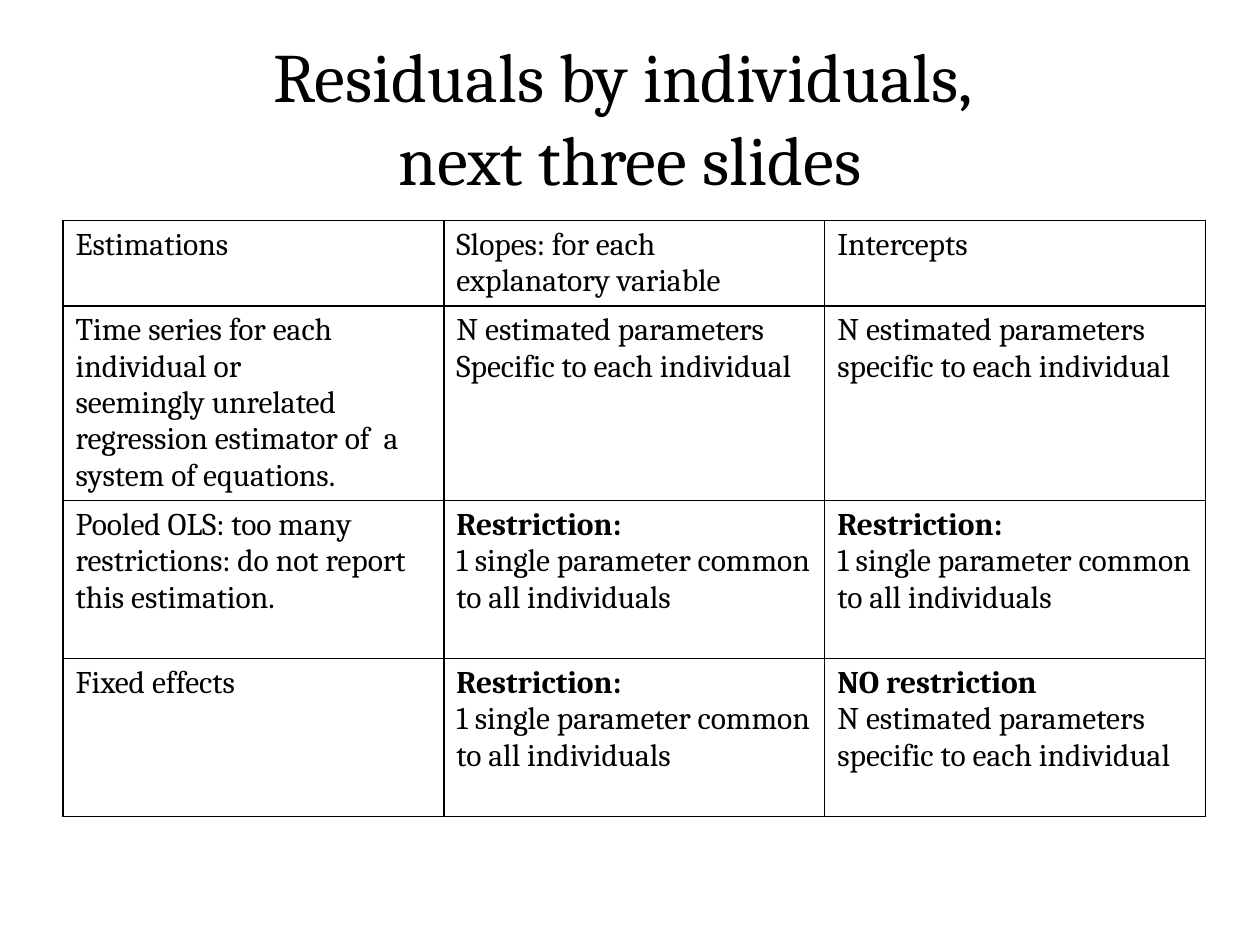
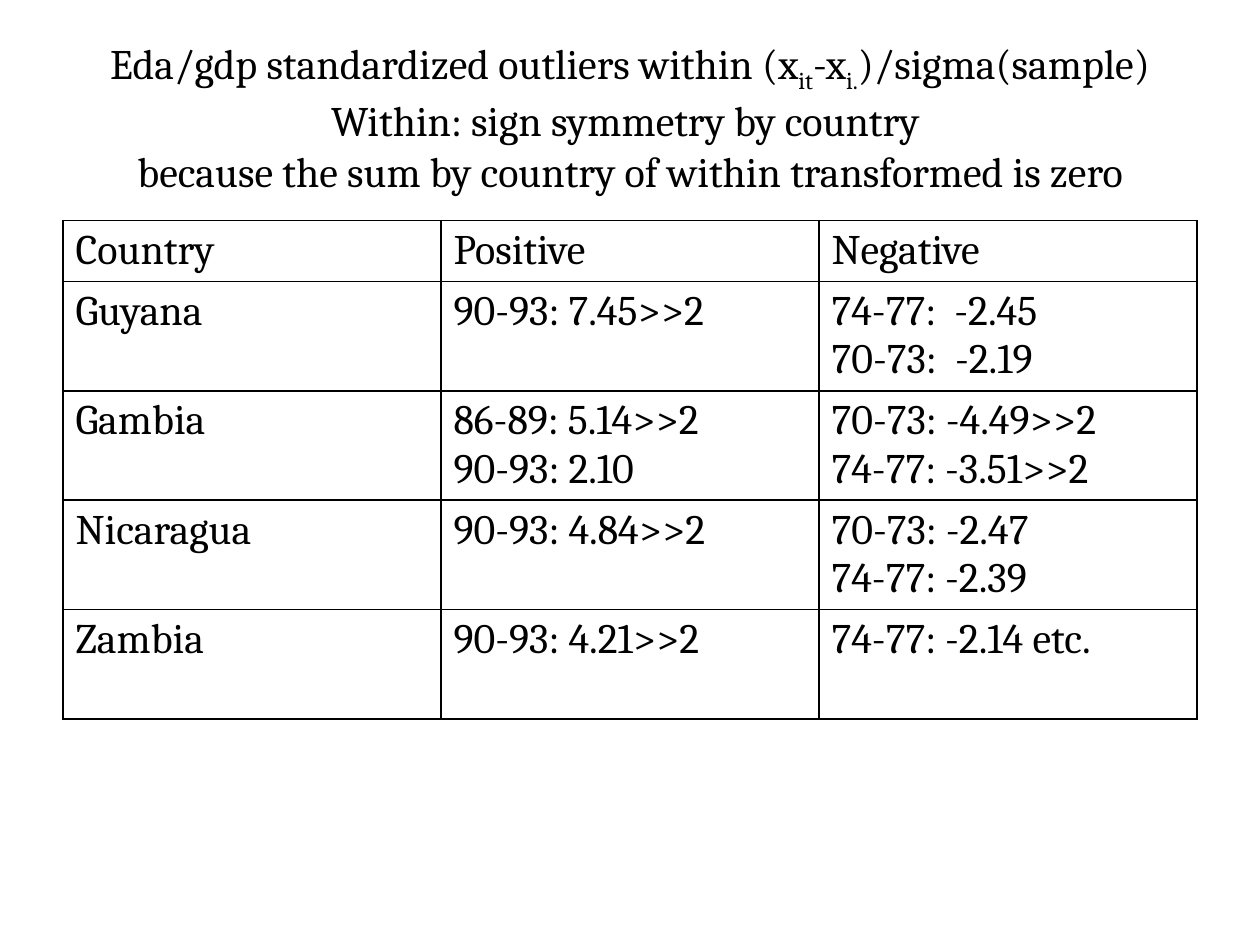
from pptx import Presentation
from pptx.dml.color import RGBColor
from pptx.enum.text import MSO_ANCHOR, MSO_AUTO_SIZE, PP_ALIGN
from pptx.oxml.ns import qn
from pptx.util import Pt
from lxml import etree

BLACK = RGBColor(0, 0, 0)
WHITE = RGBColor(255, 255, 255)
FACE = "Cambria"
MIDDLE, TOP = MSO_ANCHOR.MIDDLE, MSO_ANCHOR.TOP
CENTER = PP_ALIGN.CENTER
NO_FIT = MSO_AUTO_SIZE.NONE

LEFT = 36
TITLE_BOX = {"left": Pt(LEFT), "top": Pt(21.6), "width": Pt(648), "height": Pt(90)}
TABLE_TOP = 126
TITLE_ONLY = 5

# Cell wording: a line break starts a paragraph, a leading * makes it bold
COMMON = "*Restriction:\n1 single parameter common to all individuals"
METHODS = [
    ["Estimations", "Slopes: for each explanatory variable", "Intercepts"],
    ["Time series for each individual or\n"
     "seemingly unrelated regression estimator of  a system of equations.",
     "N estimated parameters Specific to each individual",
     "N estimated parameters specific to each individual"],
    ["Pooled OLS: too many restrictions: do not report this estimation.",
     COMMON, COMMON],
    ["Fixed effects", COMMON,
     "*NO restriction\nN estimated parameters specific to each individual"],
]
OUTLIERS = [
    ["Country", "Positive", "Negative"],
    ["Guyana", "90-93: 7.45>>2", "74-77:  -2.45\n70-73:  -2.19"],
    ["Gambia", "86-89: 5.14>>2\n90-93: 2.10", "70-73: -4.49>>2\n74-77: -3.51>>2"],
    ["Nicaragua", "90-93: 4.84>>2", "70-73: -2.47\n74-77: -2.39"],
    ["Zambia", "90-93: 4.21>>2", "74-77: -2.14 etc."],
]


def assign(item, values):
    for name, value in values.items():
        setattr(item, name, value)


def add_run(para, text, size, bold=False):
    run = para.add_run()
    run.text = text
    assign(run.font, {"name": FACE, "size": Pt(size), "bold": bold})
    run.font.color.rgb = BLACK
    return run


def add_title(slide, text, size):
    """Fill the title; parts between underscores are subscripts."""
    title = slide.shapes.title
    assign(title, TITLE_BOX)
    frame = title.text_frame
    assign(frame, {"vertical_anchor": MIDDLE, "word_wrap": True, "auto_size": NO_FIT})
    para = frame.paragraphs[0]
    para.alignment = CENTER
    for row, line in enumerate(text.split("\n")):
        if row:
            para.add_line_break()
        for part, words in enumerate(line.split("_")):
            run = add_run(para, words, size)
            if part % 2:
                run.font._element.set("baseline", "-25000")
    # Line breaks take the size of the text around them
    for mark in para._p.findall(qn("a:br")):
        etree.SubElement(mark, qn("a:rPr")).set("sz", str(int(size * 100)))


def add_border(cell):
    props = cell._tc.get_or_add_tcPr()
    for spot, side in enumerate(("lnL", "lnR", "lnT", "lnB")):
        line = etree.Element(qn("a:" + side), w=str(Pt(1)))
        fill = etree.SubElement(line, qn("a:solidFill"))
        etree.SubElement(fill, qn("a:srgbClr"), val=str(BLACK))
        props.insert(spot, line)


def fill_cell(cell, text, size):
    cell.vertical_anchor = TOP
    cell.fill.solid()
    cell.fill.fore_color.rgb = WHITE
    add_border(cell)
    frame = cell.text_frame
    for row, line in enumerate(text.split("\n")):
        para = frame.add_paragraph() if row else frame.paragraphs[0]
        add_run(para, line.lstrip("*"), size, line.startswith("*"))


def add_grid(slide, data, width, heights, size):
    count = len(data[0])
    table = slide.shapes.add_table(
        len(data), count, Pt(LEFT), Pt(TABLE_TOP), Pt(width), Pt(sum(heights))).table
    assign(table, {"first_row": False, "horz_banding": False})
    for col in table.columns:
        col.width = Pt(width / count)
    for row, height, texts in zip(table.rows, heights, data):
        row.height = Pt(height)
        for cell, text in zip(row.cells, texts):
            fill_cell(cell, text, size)


def main():
    deck = Presentation()
    assign(deck, {"slide_width": Pt(720), "slide_height": Pt(540)})
    layout = deck.slide_layouts[TITLE_ONLY]

    # Restrictions of each estimation
    slide = deck.slides.add_slide(layout)
    add_title(slide, "Residuals by individuals, \nnext three slides", 39.6)
    add_grid(slide, METHODS, 653, [49, 111, 90.3, 90.3], 18)

    # Outliers by country
    slide = deck.slides.add_slide(layout)
    add_title(slide, "Eda/gdp standardized outliers within (x_it_-x_i._)/sigma(sample)\n"
              "Within: sign symmetry by country \n"
              "because the sum by country of within transformed is zero", 24)
    add_grid(slide, OUTLIERS, 648, [34.8] + [62.5] * 4, 24)

    deck.save("out.pptx")


if __name__ == "__main__":
    main()
